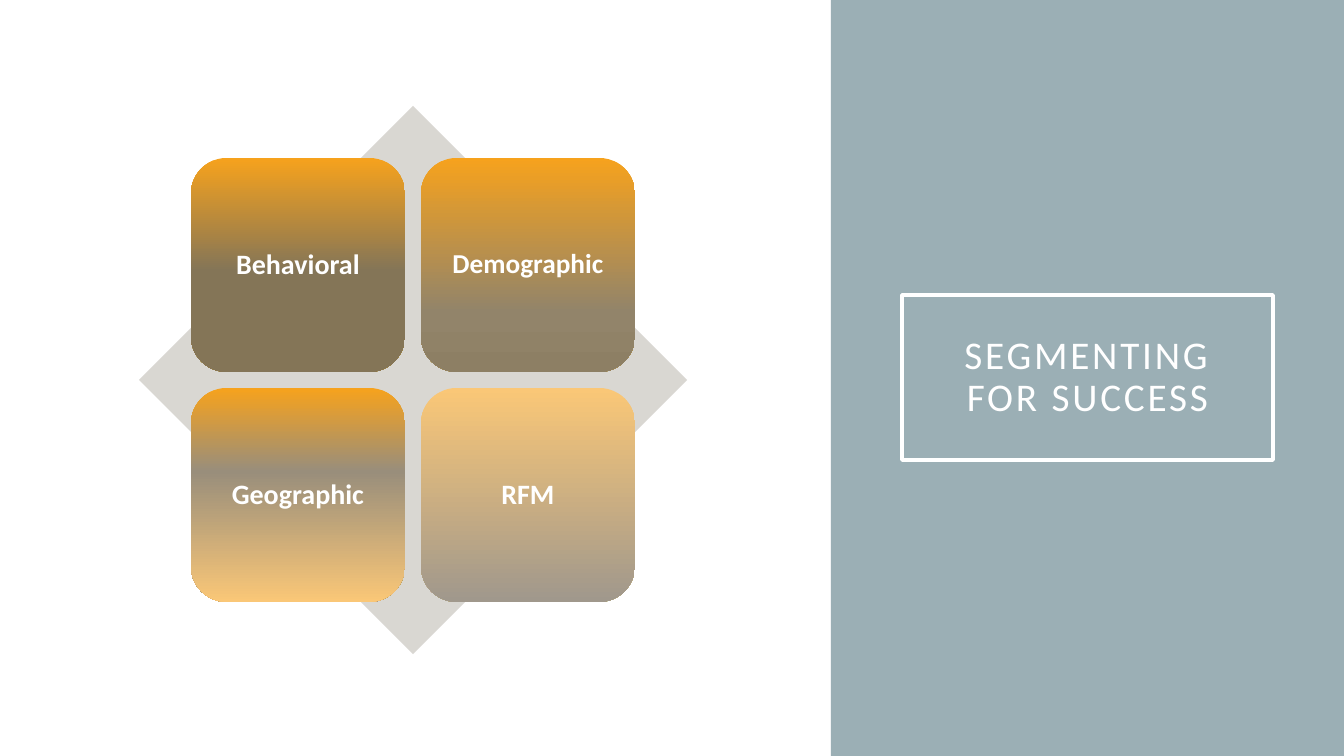
from lxml.etree import SubElement
from pptx import Presentation
from pptx.dml.color import RGBColor
from pptx.enum.shapes import MSO_SHAPE
from pptx.enum.text import MSO_ANCHOR, MSO_AUTO_SIZE, PP_ALIGN
from pptx.oxml.ns import qn
from pptx.util import Pt

WHITE = RGBColor(0xFF, 0xFF, 0xFF)
SLATE = RGBColor(0x9B, 0xAF, 0xB5)
STONE = RGBColor(0xD9, 0xD7, 0xD2)
AMBER = RGBColor(0xF6, 0xA2, 0x1D)
PEACH = RGBColor(0xFA, 0xC7, 0x77)
OLIVE = RGBColor(0x84, 0x75, 0x57)
KHAKI = RGBColor(0x92, 0x84, 0x6A)
MOSS = RGBColor(0x8D, 0x7F, 0x64)
TAUPE = RGBColor(0x99, 0x8E, 0x7B)
ASH = RGBColor(0xA0, 0x98, 0x8C)

TITLE = "SEGMENTING FOR SUCCESS"
TILES = [
    ("Behavioral", 20, [(0, AMBER), (53, OLIVE)]),
    ("Demographic", 19.5, [(0, AMBER), (72, KHAKI), (100, MOSS)]),
    ("Geographic", 20, [(0, AMBER), (39, TAUPE), (100, PEACH)]),
    ("RFM", 20, [(0, PEACH), (100, ASH)]),
]

WIDE, HIGH = 1344, 756
PANEL = (831, 0, 513, HIGH)
FRAME = (902, 295, 371, 165)
MID_X, MID_Y = 413, 380
SPAN, SIDE, GAP = 548, 214, 16


def px(num):
    return round(num * 914400 / 100.8)


def write(shape, text, size, bold=False, inset=8, track=0):
    frame = shape.text_frame
    frame.text = text
    frame.word_wrap = True
    frame.auto_size = MSO_AUTO_SIZE.NONE
    frame.vertical_anchor = MSO_ANCHOR.MIDDLE
    frame.margin_left = frame.margin_right = px(inset)
    frame.margin_top = frame.margin_bottom = px(inset)
    para = frame.paragraphs[0]
    para.alignment = PP_ALIGN.CENTER
    para.line_spacing = 0.9
    font = para.runs[0].font
    font.name, font.size, font.bold = "Calibri", Pt(size), bold
    font.color.rgb = WHITE
    if track:
        para.runs[0]._r.get_or_add_rPr().set("spc", str(track * 100))


def draw(shapes, kind, box, fill=None):
    shape = shapes.add_shape(kind, *map(px, box))
    shape.shadow.inherit = False
    shape.line.fill.background()
    if fill:
        shape.fill.solid()
        shape.fill.fore_color.rgb = fill
    return shape


def blend(shape, stops):
    shape.fill.gradient()
    shape.fill.gradient_angle = 270
    stop_list = shape._element.spPr.find(".//" + qn("a:gsLst"))
    stop_list.clear()
    for place, color in stops:
        stop = SubElement(stop_list, qn("a:gs"), pos=str(place * 1000))
        SubElement(stop, qn("a:srgbClr"), val=str(color))


def main():
    deck = Presentation()
    deck.slide_width, deck.slide_height = px(WIDE), px(HIGH)
    slide = deck.slides.add_slide(deck.slide_layouts[5])

    panel = draw(slide.shapes, MSO_SHAPE.RECTANGLE, PANEL, SLATE)
    title = slide.shapes.title
    panel._element.addnext(title._element)
    title.left, title.top, title.width, title.height = map(px, FRAME)
    title.line.color.rgb = WHITE
    title.line.width = Pt(2.5)
    write(title, TITLE, 28, inset=20, track=2)

    group = slide.shapes.add_group_shape().shapes
    box = (MID_X - SPAN / 2, MID_Y - SPAN / 2, SPAN, SPAN)
    draw(group, MSO_SHAPE.DIAMOND, box, STONE)
    edge = SIDE + GAP / 2
    for i, (text, size, stops) in enumerate(TILES):
        row, col = divmod(i, 2)
        left = MID_X - edge + col * (SIDE + GAP)
        top = MID_Y - edge + row * (SIDE + GAP)
        tile = draw(group, MSO_SHAPE.ROUNDED_RECTANGLE, (left, top, SIDE, SIDE))
        blend(tile, stops)
        write(tile, text, size, bold=True)

    deck.save("out.pptx")


if __name__ == "__main__":
    main()
